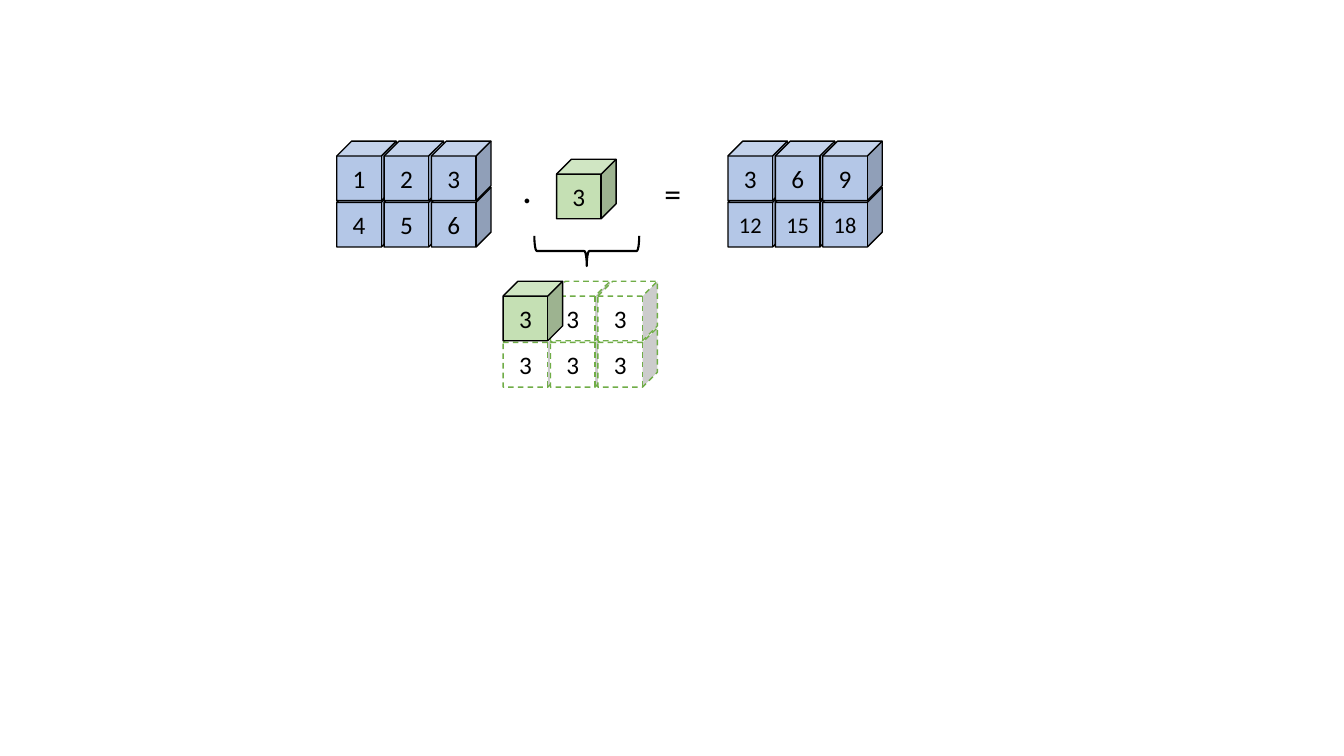
"""Build a slide showing a matrix multiplied by a broadcast scalar."""
from dataclasses import dataclass
from typing import Any

from pptx import Presentation
from pptx.dml.color import RGBColor
from pptx.enum.dml import MSO_LINE
from pptx.enum.shapes import MSO_SHAPE
from pptx.enum.text import MSO_ANCHOR, MSO_AUTO_SIZE, PP_ALIGN
from pptx.shapes.autoshape import Shape
from pptx.slide import Slide
from pptx.text.text import TextFrame
from pptx.util import Inches, Pt

COLORS = {"black": "000000", "blue": "B4C7E7", "green": "C5E0B4", "white": "FFFFFF", "dash": "70AD47"}
CUBE_SIZE = 0.59
COLUMN_STEP = 0.47
ROW_STEP = 0.46
CUBE_TEXT_FORMAT = {"vertical_anchor": MSO_ANCHOR.MIDDLE, "word_wrap": True}
SYMBOL_TEXT_FORMAT = {"word_wrap": False, "auto_size": MSO_AUTO_SIZE.SHAPE_TO_FIT_TEXT}


@dataclass(frozen=True)
class CubeStyle:
    fill: str
    line: str = "black"
    dash: MSO_LINE | None = None


@dataclass(frozen=True)
class CubeGrid:
    left: float
    top: float
    rows: list[list[str]]
    style: CubeStyle


@dataclass(frozen=True)
class Symbol:
    text: str
    left: float
    top: float
    width: float
    height: float
    size: int


BLUE = CubeStyle("blue")
GREEN = CubeStyle("green")
GHOST = CubeStyle("white", "dash", MSO_LINE.DASH)

GRIDS = [
    CubeGrid(3.34, 1.4, [["1", "2", "3"], ["4", "5", "6"]], BLUE),
    CubeGrid(5.52, 1.58, [["3"]], GREEN),
    CubeGrid(7.22, 1.4, [["3", "6", "9"], ["12", "15", "18"]], BLUE),
    CubeGrid(4.99, 2.79, [["", "3", "3"], ["3", "3", "3"]], GHOST),
    CubeGrid(4.99, 2.79, [["3"]], GREEN),
]
SYMBOLS = [
    Symbol(".", 5.08, 1.58, 0.3, 0.57, 28),
    Symbol("=", 6.49, 1.67, 0.37, 0.5, 24),
]


def rgb(name: str) -> RGBColor:
    return RGBColor.from_string(COLORS[name])


def apply_format(target: Any, values: dict[str, Any]) -> None:
    for name, value in values.items():
        setattr(target, name, value)


def write_text(frame: TextFrame, text: str, size: int, alignment: PP_ALIGN) -> None:
    paragraph = frame.paragraphs[0]
    paragraph.alignment = alignment
    run = paragraph.add_run()
    run.text = text
    apply_format(run.font, {"name": "Calibri", "size": Pt(size)})
    run.font.color.rgb = rgb("black")


def outline(shape: Shape, color: str, width: float, dash: MSO_LINE | None = None) -> None:
    shape.shadow.inherit = False
    shape.line.color.rgb = rgb(color)
    apply_format(shape.line, {"width": Pt(width), "dash_style": dash})


def add_cube(slide: Slide, left: float, top: float, text: str, style: CubeStyle) -> None:
    shape = slide.shapes.add_shape(
        MSO_SHAPE.CUBE, Inches(left), Inches(top), Inches(CUBE_SIZE), Inches(CUBE_SIZE)
    )
    shape.fill.solid()
    shape.fill.fore_color.rgb = rgb(style.fill)
    outline(shape, style.line, 1, style.dash)
    apply_format(shape.text_frame, CUBE_TEXT_FORMAT)
    write_text(shape.text_frame, text, 18 if len(text) == 1 else 16, PP_ALIGN.CENTER)


def add_grid(slide: Slide, grid: CubeGrid) -> None:
    for row, values in reversed(list(enumerate(grid.rows))):
        for column, text in enumerate(values):
            if text:
                left = grid.left + column * COLUMN_STEP
                add_cube(slide, left, grid.top + row * ROW_STEP, text, grid.style)


def add_symbol(slide: Slide, symbol: Symbol) -> None:
    box = slide.shapes.add_textbox(
        Inches(symbol.left), Inches(symbol.top), Inches(symbol.width), Inches(symbol.height)
    )
    apply_format(box.text_frame, SYMBOL_TEXT_FORMAT)
    write_text(box.text_frame, symbol.text, symbol.size, PP_ALIGN.LEFT)


def add_brace(slide: Slide) -> None:
    brace = slide.shapes.add_shape(
        MSO_SHAPE.LEFT_BRACE, Inches(5.67), Inches(1.97), Inches(0.3), Inches(1.04)
    )
    brace.rotation = 270
    brace.fill.background()
    outline(brace, "black", 1.5)


def main() -> None:
    presentation = Presentation()
    apply_format(presentation, {"slide_width": Inches(13.33), "slide_height": Inches(7.5)})
    slide = presentation.slides.add_slide(presentation.slide_layouts[6])
    for grid in GRIDS:
        add_grid(slide, grid)
    for symbol in SYMBOLS:
        add_symbol(slide, symbol)
    add_brace(slide)
    presentation.save("out.pptx")


if __name__ == "__main__":
    main()
